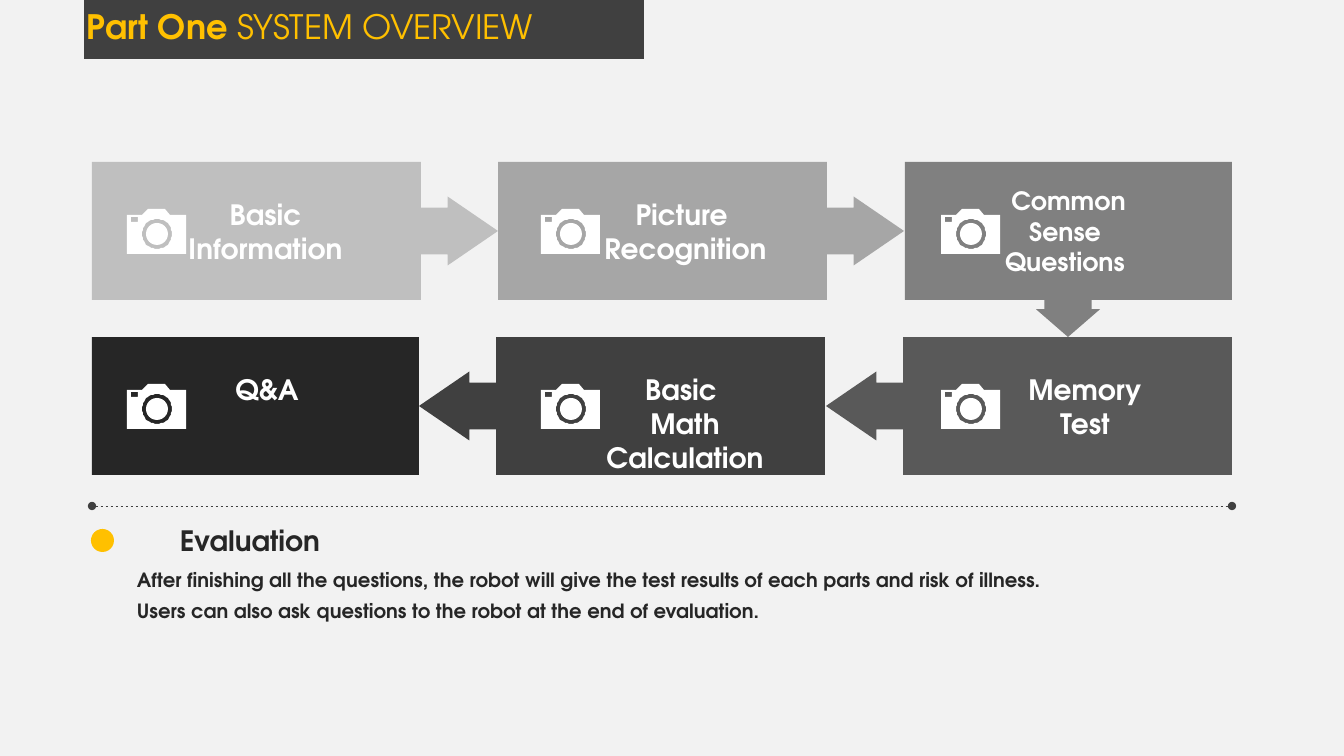
import math

from lxml import etree
from pptx import Presentation
from pptx import util as u
from pptx.dml.color import RGBColor
from pptx.enum import dml, shapes, text
from pptx.oxml.ns import qn

PX = 914400 / 100.8  # EMU per px
FONT = "TeX Gyre Adventor"
PAPER = RGBColor(0xF2, 0xF2, 0xF2)
WHITE = RGBColor(0xFF, 0xFF, 0xFF)
AMBER = RGBColor(0xFF, 0xC0, 0x00)
INK = RGBColor(0x26, 0x26, 0x26)
CHARCOAL = RGBColor(0x40, 0x40, 0x40)
GRAPHITE = RGBColor(0x59, 0x59, 0x59)
GRAY = RGBColor(0x80, 0x80, 0x80)
SILVER = RGBColor(0xA6, 0xA6, 0xA6)
LIGHT = RGBColor(0xBF, 0xBF, 0xBF)

RECT = shapes.MSO_SHAPE.RECTANGLE
OVAL = shapes.MSO_SHAPE.OVAL
CALLOUT = shapes.MSO_SHAPE.RIGHT_ARROW_CALLOUT
CENTER = text.PP_ALIGN.CENTER


def add_filled(parent, kind, bounds, color):
    shape = parent.shapes.add_shape(kind, *[u.Emu(round(n * PX)) for n in bounds])
    shape.shadow.inherit = False
    shape.fill.solid()
    shape.fill.fore_color.rgb = color
    shape.line.fill.background()
    return shape


def write(parent, bounds, lines, size, color, align=CENTER, wrap=False):
    """Add a text box with one bold paragraph per line and return it."""
    box = parent.shapes.add_textbox(*[u.Emu(round(n * PX)) for n in bounds])
    frame = box.text_frame
    frame.word_wrap = wrap
    frame.text = "\n".join(lines)
    for para in frame.paragraphs:
        para.alignment = align
        para.font.name = FONT
        para.font.size = u.Pt(size)
        para.font.bold = True
        para.font.color.rgb = color
    return box


deck = Presentation()
deck.slide_width = u.Emu(round(1344 * PX))
deck.slide_height = u.Emu(round(756 * PX))
page = deck.slides.add_slide(deck.slide_layouts[6])
page.background.fill.solid()
page.background.fill.fore_color.rgb = PAPER

# Title band
add_filled(page, RECT, (84, 0, 560, 59), CHARCOAL)
title = write(page, (77, 6, 598, 50), ["Part One "], 24, AMBER, text.PP_ALIGN.LEFT, True)
para = title.text_frame.paragraphs[0]
para.line_spacing = 0.9
para.space_before = u.Pt(10)
span = para.add_run()
span.text = "SYSTEM OVERVIEW"
span.font.bold = False

# Arrow from the upper row to the lower row
down = add_filled(page, shapes.MSO_SHAPE.DOWN_ARROW, (1036, 300, 64, 37), GRAY)
down.adjustments[0] = 0.74
down.adjustments[1] = 0.75

# Dashed divider with round ends
divider = page.shapes.add_connector(
    shapes.MSO_CONNECTOR.STRAIGHT, *[u.Emu(round(n * PX)) for n in (92, 506, 1232, 506)]
)
divider.line.color.rgb = CHARCOAL
divider.line.width = u.Pt(0.5)
divider.line.dash_style = dml.MSO_LINE.DASH
for end in ("a:headEnd", "a:tailEnd"):
    etree.SubElement(divider.line._get_or_add_ln(), qn(end)).set("type", "oval")
etree.SubElement(divider.element.spPr, qn("a:effectLst"))

# Camera icon outlines: body, flash and lens ring
camera_body = [(43, 6), (38, 0), (21, 0), (15, 6), (0, 6), (0, 45), (59, 45), (59, 6)]
camera_flash = [(4, 8), (4, 13), (11, 13), (11, 8)]
lens_ring = [
    (30 + 15 * math.cos(math.tau * i / 48), 25 + 15 * math.sin(math.tau * i / 48))
    for i in range(48)
]

# kind, left, width, color, camera left, label left, label width, label lines
rows = [
    (162, [
        (CALLOUT, 92, 406, LIGHT, 127, 178, 175, ["Basic", "Information"]),
        (CALLOUT, 498, 406, SILVER, 541, 594, 183, ["Picture ", "Recognition"]),
        (RECT, 905, 327, GRAY, 941, None, None, ["Common", "Sense ", "Questions "]),
    ]),
    (337, [
        (RECT, 92, 327, INK, 127, 225, 84, ["Q&A"]),
        (CALLOUT, 419, 406, CHARCOAL, 541, 596, 178, ["Basic ", "Math", "Calculation"]),
        (CALLOUT, 826, 406, GRAPHITE, 941, 1018, 134, ["Memory", "Test"]),
    ]),
]
for top, steps in rows:
    for kind, left, width, color, camera_left, label_left, label_width, lines in steps:
        group = page.shapes.add_group_shape()
        step = add_filled(group, kind, (left, top, width, 138), color)
        if kind == CALLOUT:
            for i, value in enumerate((0.34, 0.25, 0.365, 0.81)):
                step.adjustments[i] = value
            if top > 162:  # the lower row runs right to left
                step.element.spPr.get_or_add_xfrm().set("flipH", "1")

        builder = group.shapes.build_freeform(*camera_body[0], scale=PX)
        builder.add_line_segments(camera_body[1:])
        for hole in (camera_flash, lens_ring):
            builder.move_to(*hole[0])
            builder.add_line_segments(hole[1:])
        camera = builder.convert_to_shape(u.Emu(round(camera_left * PX)), u.Emu(round((top + 47) * PX)))
        camera.shadow.inherit = False
        camera.fill.solid()
        camera.fill.fore_color.rgb = WHITE
        camera.line.fill.background()
        add_filled(group, OVAL, (camera_left + 19, top + 61, 22, 22), WHITE)

        if label_left is None:  # the label fills the whole step
            label_box = (left, top, width, 138)
            label = write(group, label_box, lines, 18, WHITE, wrap=True)
            label.text_frame.vertical_anchor = text.MSO_ANCHOR.MIDDLE
        else:
            label_box = (label_left, top + 31, label_width, 10 + 34 * len(lines))
            write(group, label_box, lines, 20, WHITE)

# Evaluation note
write(page, (169, 519, 162, 44), ["Evaluation"], 20, INK)
note = write(page, (127, 556, 1105, 69), [
    "After finishing all the questions, the robot will give the test results of each parts and risk of illness. ",
    "Users can also ask questions to the robot at the end of evaluation.",
], 14, INK, text.PP_ALIGN.JUSTIFY, True)
for para in note.text_frame.paragraphs:
    para.line_spacing = 1.3
add_filled(page, OVAL, (91, 529, 23, 23), AMBER)

deck.save("out.pptx")
